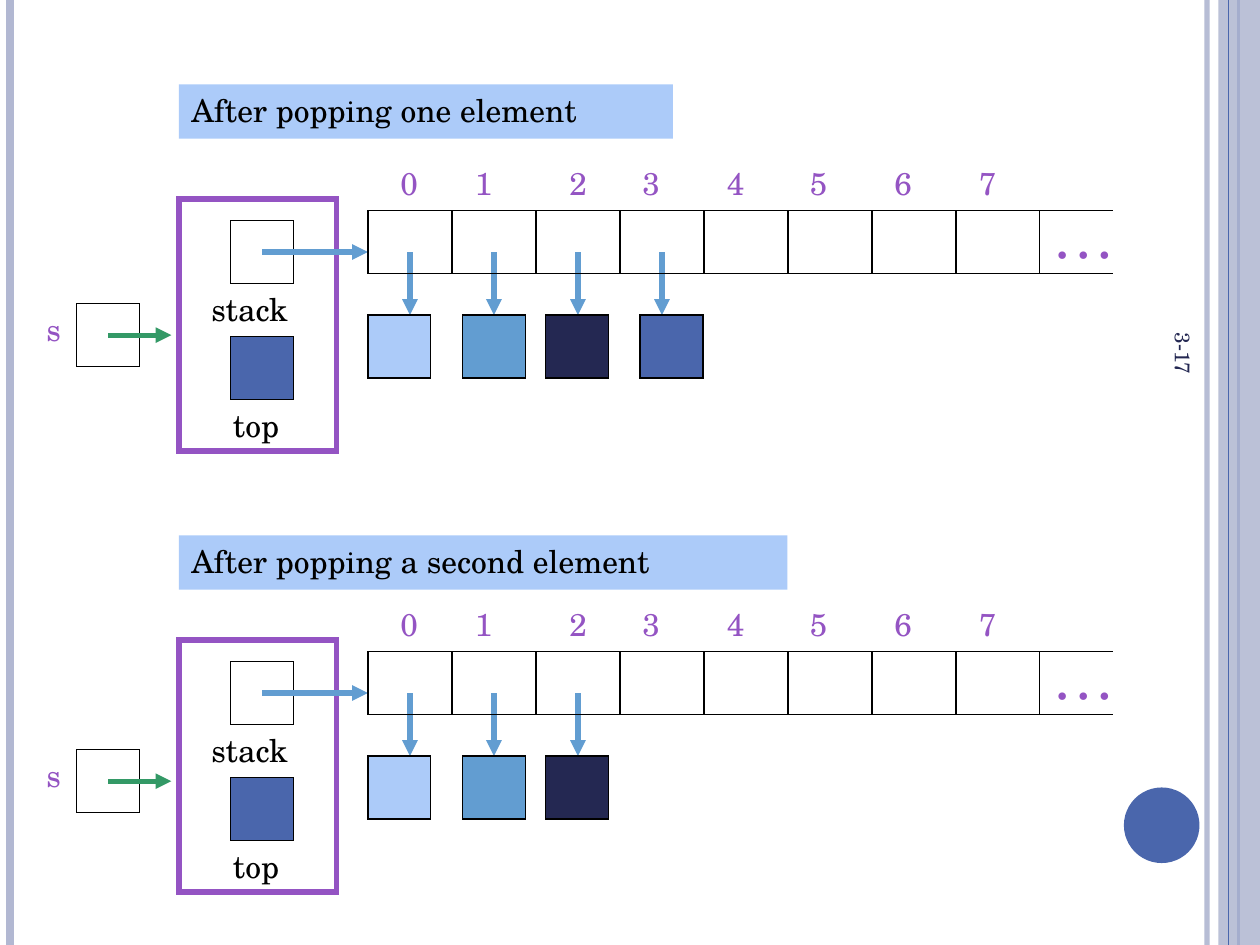
from lxml import etree
from pptx import Presentation
from pptx.dml.color import RGBColor
from pptx.enum import shapes, text
from pptx.oxml.ns import qn
from pptx.util import Inches, Pt

BLACK = RGBColor(0x00, 0x00, 0x00)
PALE = RGBColor(0xAC, 0xCB, 0xF9)
SKY = RGBColor(0x62, 0x9D, 0xD1)
NAVY = RGBColor(0x24, 0x28, 0x52)
BLUE = RGBColor(0x4A, 0x66, 0xAC)
GREY = RGBColor(0xB2, 0xB8, 0xD2)
PURPLE = RGBColor(0x94, 0x54, 0xC3)
GREEN = RGBColor(0x33, 0x99, 0x66)
SERIF = "TeX Gyre Schola"

# Content: caption, caption top and width, elements left, top edge, top of the s box
STATES = [
    ("After popping one element", 0.67, 3.92, 4, 0.67, 2.41),
    ("After popping a second element", 4.25, 4.83, 3, 4.17, 5.95),
]
INDEX_LEFTS = [3.08, 3.67, 4.42, 5, 5.67, 6.33, 7, 7.67]
ELEMENTS = [(2.92, PALE), (3.67, SKY), (4.33, NAVY), (5.08, BLUE)]
EDGE_LINES = [(9.58, GREY, 3, 93), (0.08, GREY, 4.5, 100), (9.83, BLUE, 1.5, 100)]
CELL, BOX = 2 / 3, 0.5
ARRAY_LEFT = 2.92

prs = Presentation()
prs.slide_width, prs.slide_height = Inches(10), Inches(7.5)
s = prs.slides.add_slide(prs.slide_layouts[6])


def set_alpha(sp, percent):
    color = next(sp._element.spPr.iter(qn("a:srgbClr")))
    etree.SubElement(color, qn("a:alpha")).set("val", str(percent * 1000))


def add_to_line(sp, tag, name, value):
    ln = sp._element.spPr.find(qn("a:ln"))
    etree.SubElement(ln, qn(tag)).set(name, value)


def add_box(x, y, w, h, fill=None, line=None, width=0.75, kind="RECTANGLE"):
    sp = s.shapes.add_shape(getattr(shapes.MSO_SHAPE, kind),
                            Inches(x), Inches(y), Inches(w), Inches(h))
    sp.shadow.inherit = False
    if fill is None:
        sp.fill.background()
    else:
        sp.fill.solid()
        sp.fill.fore_color.rgb = fill
    if line is None:
        sp.line.fill.background()
    else:
        sp.line.color.rgb = line
        sp.line.width = Pt(width)
        add_to_line(sp, "a:miter", "lim", "800000")
    return sp


def add_line(x1, y1, x2, y2, color, width, arrow=False):
    cx = s.shapes.add_connector(shapes.MSO_CONNECTOR.STRAIGHT,
                                Inches(x1), Inches(y1), Inches(x2), Inches(y2))
    cx.line.color.rgb = color
    cx.line.width = Pt(width)
    if arrow:
        add_to_line(cx, "a:tailEnd", "type", "triangle")
    etree.SubElement(cx._element.spPr, qn("a:effectLst"))
    return cx


def write(sp, words, color, size=18, font=SERIF, anchor="TOP"):
    tf = sp.text_frame
    tf.word_wrap = True
    tf.vertical_anchor = getattr(text.MSO_ANCHOR, anchor)
    tf.text = words
    p = tf.paragraphs[0]
    p.alignment = text.PP_ALIGN.LEFT
    r = p.runs[0]
    r.font.size, r.font.name, r.font.color.rgb = Pt(size), font, color


def add_text(x, y, w, h, words, color, **style):
    sp = s.shapes.add_textbox(Inches(x), Inches(y), Inches(w), Inches(h))
    write(sp, words, color, **style)
    return sp


# Page decoration
for x, color, width, alpha in EDGE_LINES:
    edge = add_line(x, 0, x, 7.5, color, width)
    if alpha < 100:
        set_alpha(edge, alpha)
set_alpha(add_box(9.67, 0, 0.33, 7.5, GREY), 87)
add_line(9.75, 0, 9.75, 7.5, BLUE, 0.75)
add_box(8.92, 6.25, 0.6, 0.6, BLUE, kind="OVAL")
number = add_text(7.64, 4.09, 3.5, 0.4, "3-17", NAVY, size=12, anchor="MIDDLE")
number.rotation = 90

# One diagram for each stack state
for caption, caption_top, caption_w, count, y, s_top in STATES:
    array_top, pointer_y, element_top = y + 1, y + 1.33, y + 1.83

    # Stack record
    add_box(1.83, y + 2, BOX, BOX, BLUE, BLACK)
    add_text(1.75, y + 2.5, 0.75, 0.43, "top", BLACK)
    add_text(1.58, y + 1.58, 1, 0.43, "stack", BLACK)
    add_box(1.83, y + 1.08, BOX, BOX, line=BLACK)
    add_box(1.42, y + 0.91, 1.25, 2, line=PURPLE, width=3)
    add_line(2.08, pointer_y, ARRAY_LEFT, pointer_y, SKY, 3, arrow=True)

    # Elements still on the stack
    for i, (x, color) in enumerate(ELEMENTS[:count]):
        mid = ARRAY_LEFT + (i + 0.5) * CELL
        add_line(mid, pointer_y, mid, element_top, SKY, 3, arrow=True)
        add_box(x, element_top, BOX, BOX, color, BLACK)

    # Array cells with indexes
    for i, x in enumerate(INDEX_LEFTS):
        add_box(ARRAY_LEFT + i * CELL, array_top, CELL, BOX, line=BLACK)
        add_text(x, y + 0.58, 0.42, 0.43, str(i), PURPLE)
    for line_y in (array_top, array_top + BOX):
        add_line(8.25, line_y, 8.83, line_y, BLACK, 0.75)
    add_text(8.25, y + 0.83, 0.67, 0.7, "…", PURPLE, size=36, font="Times New Roman")

    # Caption
    write(add_box(1.42, caption_top, caption_w, 0.43, PALE), caption, BLACK)

    # Variable s
    add_text(0.27, s_top, BOX, 0.43, "s", PURPLE)
    add_box(0.61, s_top, BOX, BOX, line=BLACK)
    add_line(0.86, s_top + 0.25, 1.36, s_top + 0.25, GREEN, 3, arrow=True)

prs.save("out.pptx")
